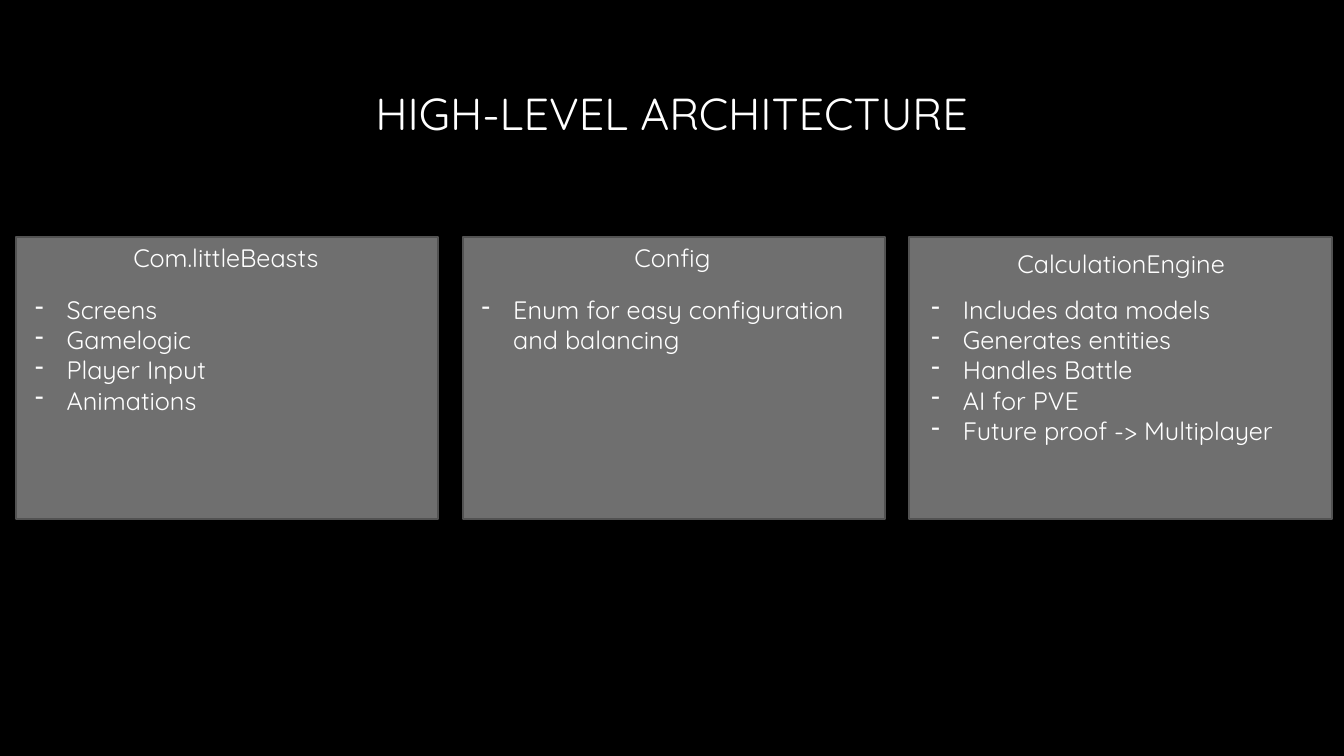
from lxml.etree import SubElement
from pptx import Presentation
from pptx.dml.color import RGBColor
from pptx.enum.shapes import MSO_SHAPE
from pptx.enum.text import MSO_ANCHOR, PP_ALIGN
from pptx.oxml.ns import qn
from pptx.util import Pt

BLACK = RGBColor(0x00, 0x00, 0x00)
WHITE = RGBColor(0xFF, 0xFF, 0xFF)
GREY = RGBColor(0x6F, 0x6F, 0x6F)
EDGE = RGBColor(0x52, 0x52, 0x52)
FONT = "Quicksand"

TITLE = "HIGH-LEVEL ARCHITECTURE"
# heading, its (x, y) offset in the card, list x offset, list items
CARDS = [
    ("Com.littleBeasts", (6.5, 0), 6.5,
     ["Screens", "Gamelogic", "Player Input", "Animations"]),
    ("Config", (6.5, 0), 6.5,
     ["Enum for easy configuration and balancing"]),
    ("CalculationEngine", (8, 4.3), 8.7,
     ["Includes data models", "Generates entities", "Handles Battle",
      "AI for PVE", "Future proof -> Multiplayer"]),
]

CARD_LEFT, CARD_TOP, CARD_W, CARD_H = 11.5, 169.2, 301.7, 201.6
CARD_STEP = 319
TEXT_W, HEAD_H, LINE_H = 286.6, 29, 21.8
LIST_DY = 37.4
INDENT = 22.5


def write(tf, lines, size=18, align=PP_ALIGN.LEFT, anchor=MSO_ANCHOR.TOP, bullet=None):
    tf.word_wrap = True
    tf.vertical_anchor = anchor
    for i, line in enumerate(lines):
        p = tf.paragraphs[0] if i == 0 else tf.add_paragraph()
        p.alignment = align
        if bullet:
            pPr = p._p.get_or_add_pPr()
            pPr.set("marL", str(Pt(INDENT)))
            pPr.set("indent", str(-Pt(INDENT)))
            SubElement(pPr, qn("a:buFontTx"))
            SubElement(pPr, qn("a:buChar"), char=bullet)
        r = p.add_run()
        r.text = line
        r.font.size = Pt(size)
        r.font.name = FONT
        r.font.color.rgb = WHITE


def add_text(s, x, y, h, lines, **fmt):
    sp = s.shapes.add_textbox(Pt(x), Pt(y), Pt(TEXT_W), Pt(h))
    write(sp.text_frame, lines, **fmt)


def add_card(s, x, heading, head_offset, list_dx, items):
    sp = s.shapes.add_shape(MSO_SHAPE.RECTANGLE, Pt(x), Pt(CARD_TOP), Pt(CARD_W), Pt(CARD_H))
    sp.shadow.inherit = False
    sp.fill.solid()
    sp.fill.fore_color.rgb = GREY
    sp.line.color.rgb = EDGE
    sp.line.width = Pt(1.5)
    dx, dy = head_offset
    add_text(s, x + dx, CARD_TOP + dy, HEAD_H, [heading], align=PP_ALIGN.CENTER)
    add_text(s, x + list_dx, CARD_TOP + LIST_DY, len(items) * LINE_H + 7.2, items, bullet="-")


def main():
    prs = Presentation()
    prs.slide_width, prs.slide_height = Pt(960), Pt(540)
    s = prs.slides.add_slide(prs.slide_layouts[5])
    s.background.fill.solid()
    s.background.fill.fore_color.rgb = BLACK

    title = s.shapes.title
    title.left, title.top, title.width, title.height = Pt(90), Pt(43.2), Pt(780), Pt(74.2)
    write(title.text_frame, [TITLE], size=32, align=PP_ALIGN.CENTER, anchor=MSO_ANCHOR.MIDDLE)

    for i, card in enumerate(CARDS):
        add_card(s, CARD_LEFT + i * CARD_STEP, *card)
    prs.save("out.pptx")


if __name__ == "__main__":
    main()
